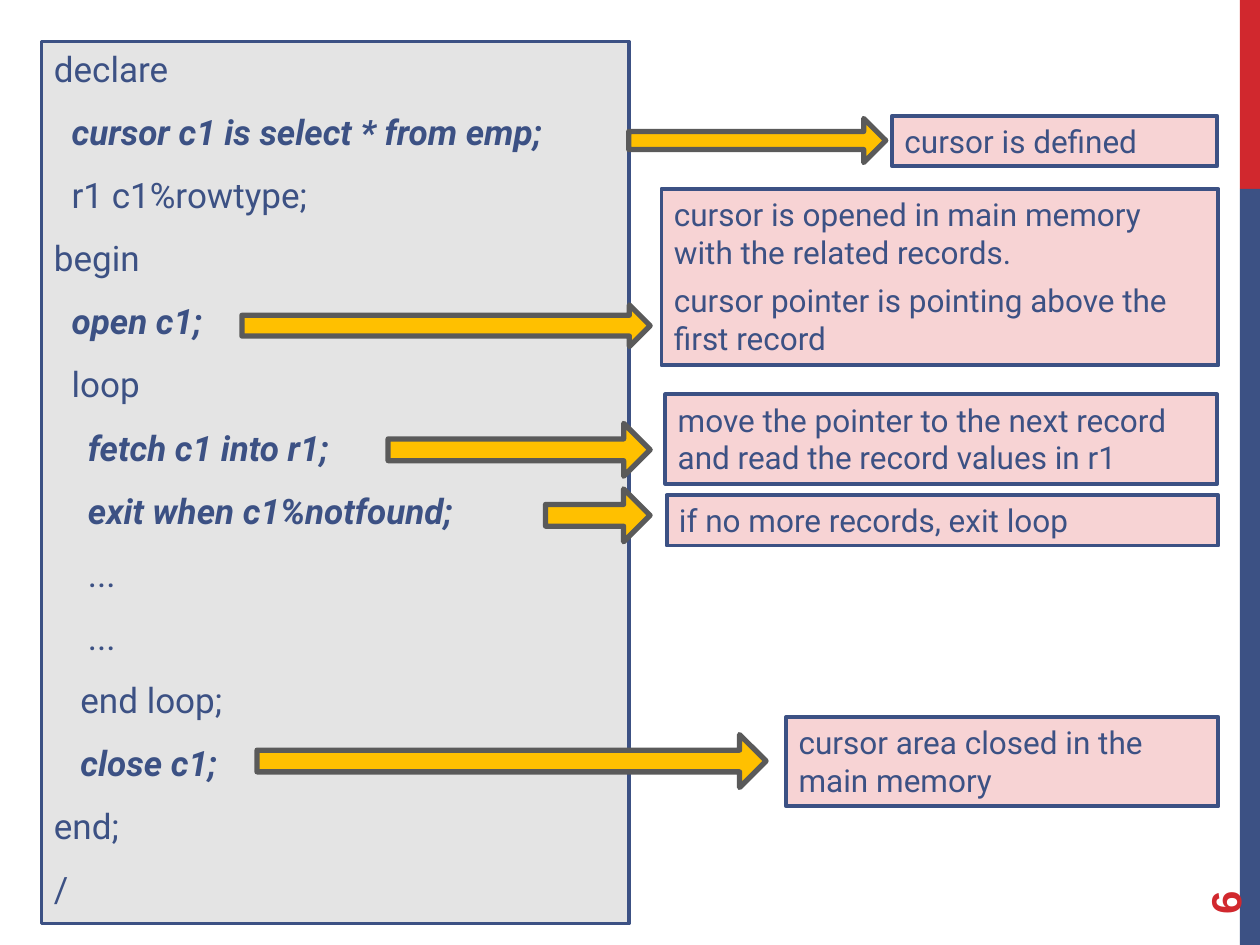
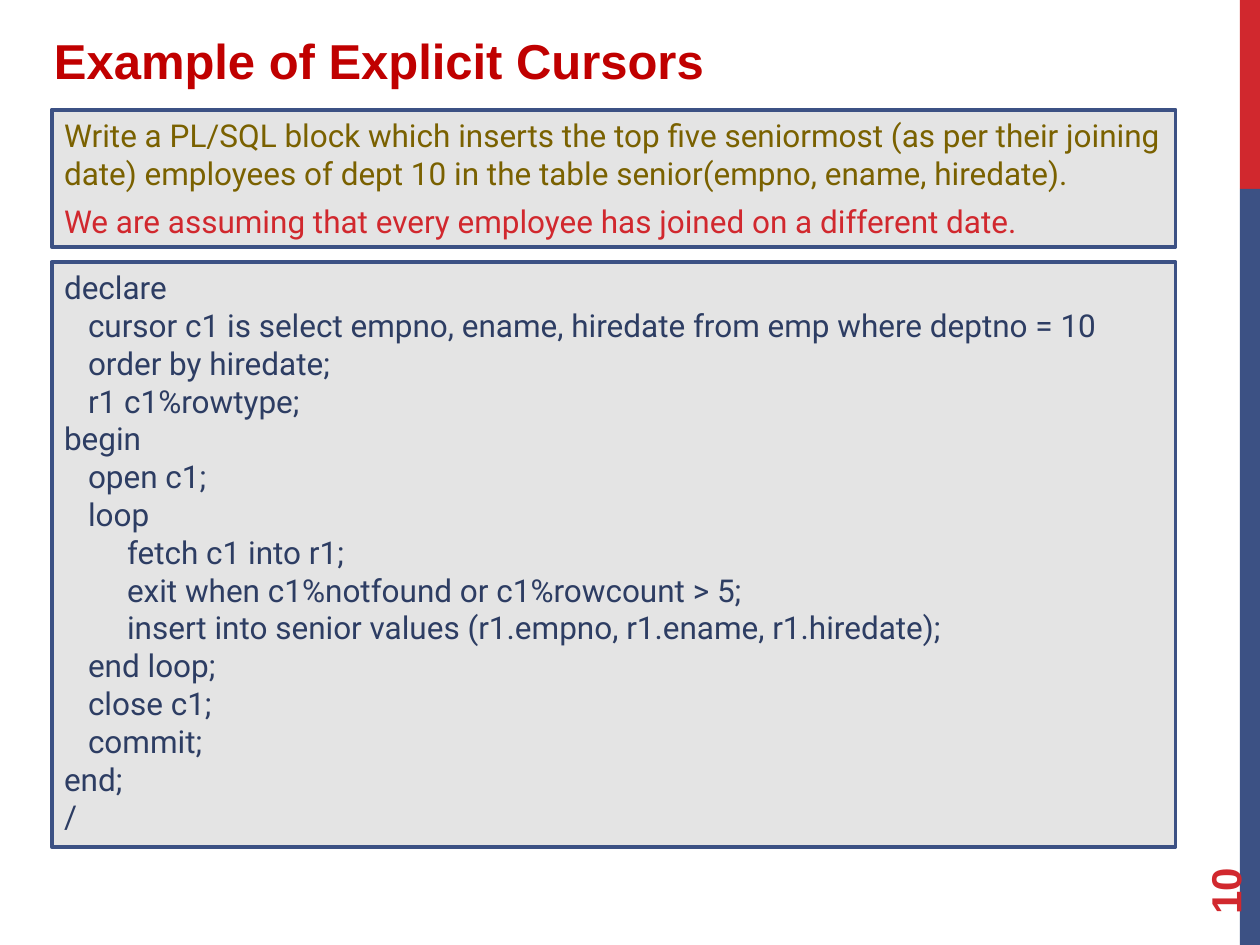
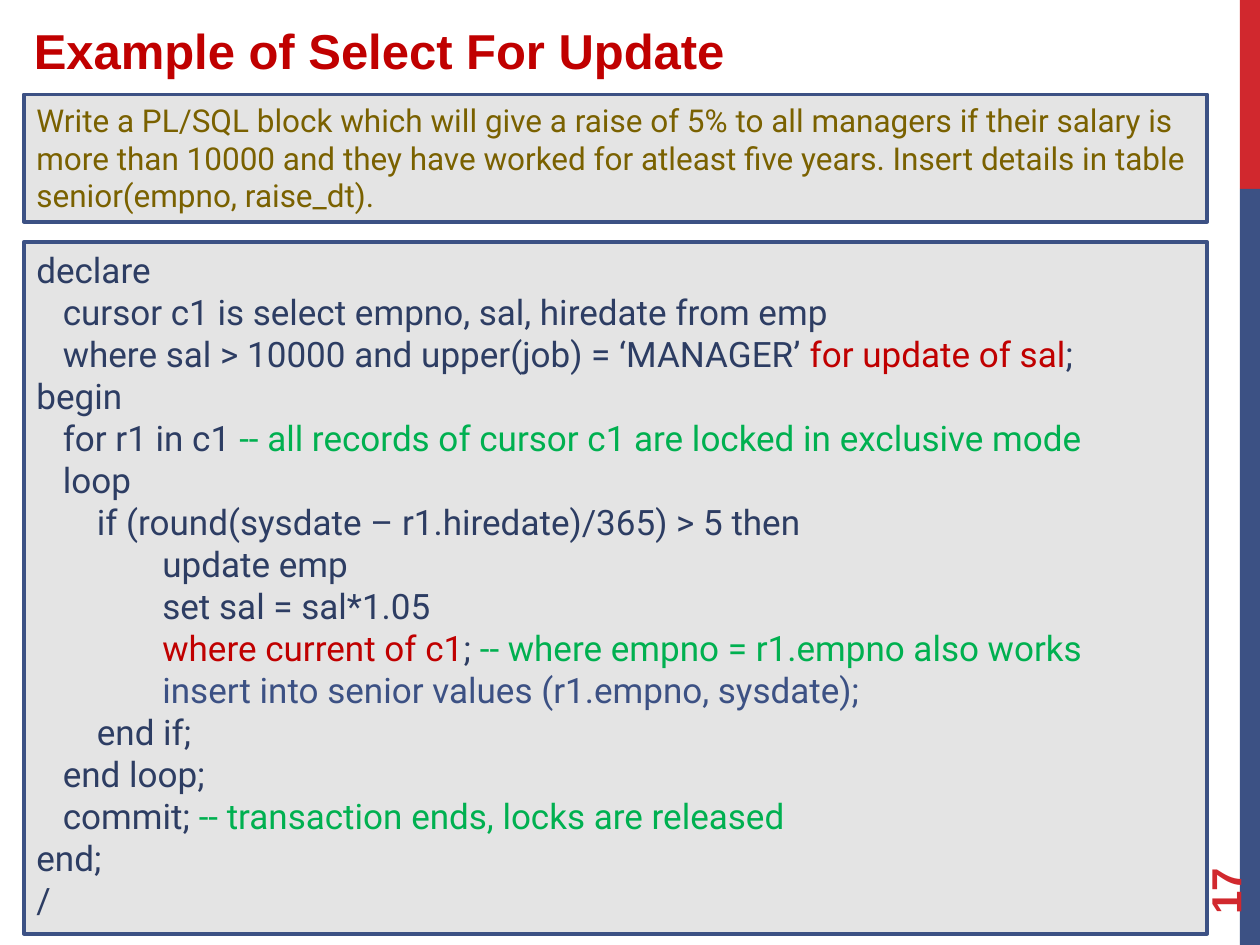
from pptx import Presentation
from pptx.dml.color import RGBColor
from pptx.enum.shapes import MSO_SHAPE
from pptx.enum.text import MSO_ANCHOR, MSO_AUTO_SIZE, PP_ALIGN
from pptx.util import Inches, Pt

RECTANGLE = MSO_SHAPE.RECTANGLE
RIGHT_ARROW = MSO_SHAPE.RIGHT_ARROW
LEFT = PP_ALIGN.LEFT
TOP = MSO_ANCHOR.TOP
MIDDLE = MSO_ANCHOR.MIDDLE
GROW = MSO_AUTO_SIZE.SHAPE_TO_FIT_TEXT

RED = RGBColor(0xD1, 0x28, 0x2E)
DARK_RED = RGBColor(0xC0, 0x00, 0x00)
BLUE = RGBColor(0x3C, 0x51, 0x84)
NAVY = RGBColor(0x2D, 0x3D, 0x63)
OLIVE = RGBColor(0x7A, 0x61, 0x00)
GREEN = RGBColor(0x00, 0xB0, 0x50)
GRAY = RGBColor(0xE4, 0xE4, 0xE4)
PINK = RGBColor(0xF7, 0xD3, 0xD4)
GOLD = RGBColor(0xFF, 0xC0, 0x00)
ARROW_EDGE = RGBColor(0x5A, 0x5A, 0x5A)

TITLE_FONT = "Arial"
BODY_FONT = "Roboto"


def add_run(paragraph, text, size, color, font=BODY_FONT, bold=False, italic=False):
    run = paragraph.add_run()
    run.text = text
    run.font.name = font
    run.font.size = Pt(size)
    run.font.bold = bold
    run.font.italic = italic
    run.font.color.rgb = color


def add_box(slide, frame, fill, size, lines, before=0, after=0):
    box = slide.shapes.add_shape(RECTANGLE, *map(Inches, frame))
    box.shadow.inherit = False
    box.fill.solid()
    box.fill.fore_color.rgb = fill
    box.line.color.rgb = BLUE
    box.line.width = Pt(2.25)
    text_frame = box.text_frame
    text_frame.word_wrap = True
    text_frame.auto_size = GROW
    text_frame.vertical_anchor = TOP
    for index, (indent, *runs) in enumerate(lines):
        paragraph = text_frame.paragraphs[0] if index == 0 else text_frame.add_paragraph()
        paragraph.alignment = LEFT
        paragraph.space_before = Pt(before)
        paragraph.space_after = Pt(after)
        paragraph._p.get_or_add_pPr().set("marL", str(Inches(indent)))
        for text, color, strong in runs:
            add_run(paragraph, text, size, color, bold=strong, italic=strong)


presentation = Presentation()
presentation.slide_width = Inches(10)
presentation.slide_height = Inches(7.5)

pages = [
    ("6", None, None),
    ("10", "Example of Explicit Cursors", (0.33, 0.19, 6.83, 0.67)),
    ("17", "Example of Select For Update", (0.17, 0.11, 6.83, 0.81)),
]
slides = []
for number, title, title_frame in pages:
    slide = presentation.slides.add_slide(presentation.slide_layouts[6])
    slides.append(slide)
    for top, height, color in [(0, 1.5, RED), (1.5, 6, BLUE)]:
        band = slide.shapes.add_shape(
            RECTANGLE, Inches(9.84), Inches(top), Inches(0.16), Inches(height))
        band.shadow.inherit = False
        band.fill.solid()
        band.fill.fore_color.rgb = color
        band.line.fill.background()
    number_box = slide.shapes.add_textbox(Inches(9), Inches(6.44), Inches(1.44), Inches(0.4))
    number_box.rotation = 270
    number_box.text_frame.word_wrap = True
    number_box.text_frame.vertical_anchor = MIDDLE
    add_run(number_box.text_frame.paragraphs[0], number, 24, RED, TITLE_FONT, True)
    if title:
        title_box = slide.shapes.add_textbox(*map(Inches, title_frame))
        title_box.text_frame.word_wrap = True
        add_run(title_box.text_frame.paragraphs[0], title, 28, DARK_RED, TITLE_FONT, True)

steps_slide, explicit_slide, update_slide = slides

cursor_steps = [
    (0, "declare", False),
    (0.14, "cursor c1 is select * from emp;", True),
    (0.14, "r1 c1%rowtype;", False),
    (0, "begin", False),
    (0.14, "open c1;", True),
    (0.14, "loop", False),
    (0.27, "fetch c1 into r1;", True),
    (0.27, "exit when c1%notfound;", True),
    (0.27, "...", False),
    (0.27, "...", False),
    (0.21, "end loop;", False),
    (0.21, "close c1;", True),
    (0, "end;", False),
    (0, "/", False),
]
add_box(steps_slide, (0.33, 0.33, 4.66, 7), GRAY, 20,
        [(indent, (text, BLUE, strong)) for indent, text, strong in cursor_steps], 6, 6)

arrows = [
    (4.99, 0.94, 2.04, 0.35, 0.41),
    (1.92, 2.42, 3.24, 0.33, 0.5),
    (3.08, 3.36, 2.08, 0.42, 0.41),
    (4.33, 3.88, 0.83, 0.42, 0.41),
    (2.04, 5.83, 4.04, 0.42, 0.41),
]
for *frame, shaft in arrows:
    arrow = steps_slide.shapes.add_shape(RIGHT_ARROW, *map(Inches, frame))
    arrow.shadow.inherit = False
    arrow.adjustments[0] = shaft
    arrow.adjustments[1] = 0.5
    arrow.fill.solid()
    arrow.fill.fore_color.rgb = GOLD
    arrow.line.color.rgb = ARROW_EDGE
    arrow.line.width = Pt(3)

explanations = [
    ((7.08, 0.92, 2.58, 0.4), ["cursor is defined"]),
    ((5.25, 1.5, 4.42, 1.4), [
        "cursor is opened in main memory with the related records.",
        "cursor pointer is pointing above the first record"]),
    ((5.28, 3.13, 4.38, 0.71), [
        "move the pointer to the next record and read the record values in r1"]),
    ((5.29, 3.93, 4.38, 0.4), ["if no more records, exit loop"]),
    ((6.24, 5.69, 3.43, 0.71), ["cursor area closed in the main memory"]),
]
for frame, texts in explanations:
    add_box(steps_slide, frame, PINK, 18, [(0, (text, BLUE, False)) for text in texts], 6)

add_box(explicit_slide, (0.41, 0.87, 8.92, 1.09), GRAY, 18, [
    (0, ("Write a PL/SQL block which inserts the top five seniormost (as per their joining "
         "date) employees of dept 10 in the table senior(empno, ename, hiredate).", OLIVE, False)),
    (0, ("We are assuming that every employee has joined on a different date.", RED, False)),
], 6)

explicit_code = [
    (0, "declare"),
    (0.19, "cursor c1 is select empno, ename, hiredate from emp where deptno = 10"),
    (0.19, "order by hiredate;"),
    (0.19, "r1 c1%rowtype;"),
    (0, "begin"),
    (0.19, "open c1;"),
    (0.19, "loop"),
    (0.5, "fetch c1 into r1;"),
    (0.5, "exit when c1%notfound or c1%rowcount > 5;"),
    (0.5, "insert into senior values (r1.empno, r1.ename, r1.hiredate);"),
    (0.19, "end loop;"),
    (0.19, "close c1;"),
    (0.19, "commit;"),
    (0, "end;"),
    (0, "/"),
]
add_box(explicit_slide, (0.41, 2.08, 8.92, 4.64), GRAY, 18,
        [(indent, (text, NAVY, False)) for indent, text in explicit_code])

add_box(update_slide, (0.19, 0.75, 9.39, 1.01), GRAY, 18, [
    (0, ("Write a PL/SQL block which will give a raise of 5% to all managers if their salary is "
         "more than 10000 and they have worked for atleast five years. Insert details in table "
         "senior(empno, raise_dt).", OLIVE, False)),
], 6)

update_code = [
    (0, ("declare", NAVY)),
    (0.21, ("cursor c1 is select empno, sal, hiredate from emp", NAVY)),
    (0.21, ("where sal > 10000 and upper(job) = ‘MANAGER’ ", NAVY),
     ("for update of sal", DARK_RED), (";", NAVY)),
    (0, ("begin", NAVY)),
    (0.21, ("for r1 in c1 ", NAVY),
     ("-- all records of cursor c1 are locked in exclusive mode", GREEN)),
    (0.21, ("loop", NAVY)),
    (0.48, ("if (round(sysdate – r1.hiredate)/365) > 5 then", NAVY)),
    (1, ("update emp", NAVY)),
    (1, ("set sal = sal*1.05", NAVY)),
    (1, ("where current of c1", DARK_RED), ("; ", NAVY),
     ("-- where empno = r1.empno also works", GREEN)),
    (1, ("insert into senior values (r1.empno, sysdate);", BLUE)),
    (0.48, ("end if;", NAVY)),
    (0.21, ("end loop;", NAVY)),
    (0.21, ("commit; ", NAVY), ("-- transaction ends, locks are released", GREEN)),
    (0, ("end;", NAVY)),
    (0, ("/", NAVY)),
]
add_box(update_slide, (0.19, 1.92, 9.39, 5.49), GRAY, 20,
        [(indent, *[(text, color, False) for text, color in runs])
         for indent, *runs in update_code])

presentation.save("out.pptx")
